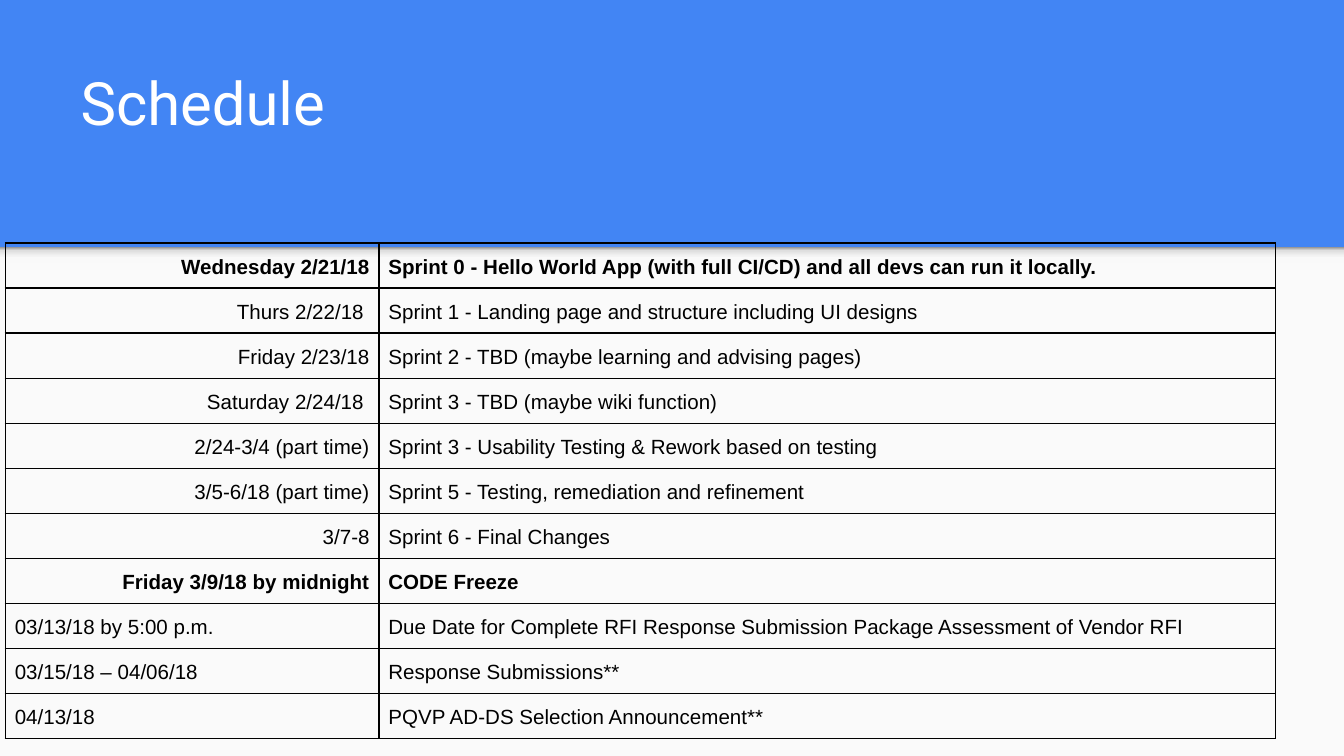
from copy import deepcopy

from pptx import Presentation
from pptx.dml.color import RGBColor
from pptx.enum.shapes import MSO_SHAPE
from pptx.enum.text import MSO_ANCHOR, PP_ALIGN
from pptx.oxml import parse_xml
from pptx.oxml.ns import nsdecls, qn
from pptx.util import Inches, Pt

RECT = MSO_SHAPE.RECTANGLE
BOTTOM = MSO_ANCHOR.BOTTOM
LEFT, RIGHT = PP_ALIGN.LEFT, PP_ALIGN.RIGHT

BLUE = RGBColor(0x42, 0x85, 0xF4)
PAPER = RGBColor(0xFA, 0xFA, 0xFA)
WHITE = RGBColor(0xFF, 0xFF, 0xFF)
BLACK = RGBColor(0, 0, 0)
SHADE = [
    (0, RGBColor(0xF9, 0xF9, 0xF9)),
    (0.36, RGBColor(0xF9, 0xF9, 0xF9)),
    (0.8, RGBColor(0xDE, 0xDE, 0xDE)),
    (1, RGBColor(0x99, 0x99, 0x99)),
]

WIDE = 10
HIGH = WIDE * 9 / 16
TOP = 1.84

PLAN = [
    ("Wednesday 2/21/18",
     "Sprint 0 - Hello World App (with full CI/CD) and all devs can run it locally."),
    ("Thurs 2/22/18 ", "Sprint 1 - Landing page and structure including UI designs"),
    ("Friday 2/23/18", "Sprint 2 - TBD (maybe learning and advising pages)"),
    ("Saturday 2/24/18 ", "Sprint 3 - TBD (maybe wiki function)"),
    ("2/24-3/4 (part time)", "Sprint 3 - Usability Testing & Rework based on testing"),
    ("3/5-6/18 (part time)", "Sprint 5 - Testing, remediation and refinement"),
    ("3/7-8", "Sprint 6 - Final Changes"),
    ("Friday 3/9/18 by midnight", "CODE Freeze"),
    ("03/13/18 by 5:00 p.m.",
     "Due Date for Complete RFI Response Submission Package Assessment of Vendor RFI"),
    ("03/15/18 – 04/06/18", "Response Submissions**"),
    ("04/13/18", "PQVP AD-DS Selection Announcement**"),
]
BOLD_ROWS = (0, 7)
SPRINT_ROWS = 8
COLS = (2.78, 6.67)
ROW = 0.33


def add_run(para, text, font, size, color, bold=False):
    run = para.add_run()
    run.text = text
    run.font.name = font
    run.font.size = Pt(size)
    run.font.color.rgb = color
    run.font.bold = bold


def set_pad(box, pad):
    box.margin_left = box.margin_right = Inches(pad)
    box.margin_top = box.margin_bottom = Inches(pad)


def add_rect(slide, x, y, w, h):
    rect = slide.shapes.add_shape(RECT, Inches(x), Inches(y), Inches(w), Inches(h))
    rect.shadow.inherit = False
    rect.line.fill.background()
    return rect


def add_panel(slide, x, y, w, h):
    panel = add_rect(slide, x, y, w, h)
    panel.fill.solid()
    panel.fill.fore_color.rgb = PAPER

    edge = add_rect(slide, x, y, w, 0.12)
    edge.fill.gradient()
    edge.fill.gradient_angle = 90
    stops = next(edge._element.spPr.iter(qn("a:gsLst")))
    for stop in list(stops):
        stops.append(deepcopy(stop))
    for stop, (pos, color) in zip(edge.fill.gradient_stops, SHADE):
        stop.position = pos
        stop.color.rgb = color


def add_title(slide, x, y, w, h):
    title = slide.shapes.title
    title.left, title.top = Inches(x), Inches(y)
    title.width, title.height = Inches(w), Inches(h)
    frame = title.text_frame
    frame.word_wrap = True
    frame.vertical_anchor = BOTTOM
    set_pad(frame, 0.1)
    para = frame.paragraphs[0]
    para.alignment = LEFT
    add_run(para, "Schedule", "Roboto", 32, WHITE)


def add_border(cell):
    props = cell._tc.get_or_add_tcPr()
    for side in ("lnL", "lnR", "lnT", "lnB"):
        props.append(parse_xml(
            f'<a:{side} {nsdecls("a")} w="{Pt(1)}"><a:solidFill>'
            f'<a:srgbClr val="{BLACK}"/></a:solidFill></a:{side}>'))


def fill_cell(cell, text, align, bold):
    add_border(cell)
    cell.fill.background()
    set_pad(cell, 0.07)
    para = cell.text_frame.paragraphs[0]
    para.alignment = align
    para.line_spacing = 1.15
    add_run(para, text, "Arial", 11, BLACK, bold)


def add_plan(slide, x, y):
    frame = slide.shapes.add_table(
        len(PLAN), len(COLS), Inches(x), Inches(y),
        Inches(sum(COLS)), Inches(ROW * len(PLAN)))
    table = frame.table
    table.first_row = table.horz_banding = False
    for col, width in zip(table.columns, COLS):
        col.width = Inches(width)
    for i, (date, task) in enumerate(PLAN):
        table.rows[i].height = Inches(ROW)
        bold = i in BOLD_ROWS
        fill_cell(table.cell(i, 0), date, RIGHT if i < SPRINT_ROWS else LEFT, bold)
        fill_cell(table.cell(i, 1), task, LEFT, bold)


def main():
    deck = Presentation()
    deck.slide_width, deck.slide_height = Inches(WIDE), Inches(HIGH)
    slide = deck.slides.add_slide(deck.slide_layouts[5])
    slide.background.fill.solid()
    slide.background.fill.fore_color.rgb = BLUE
    add_panel(slide, 0, TOP, WIDE, HIGH - TOP)
    add_plan(slide, 0.04, 1.81)
    add_title(slide, 0.5, 0.28, 8.99, 0.84)
    deck.save("out.pptx")


if __name__ == "__main__":
    main()
